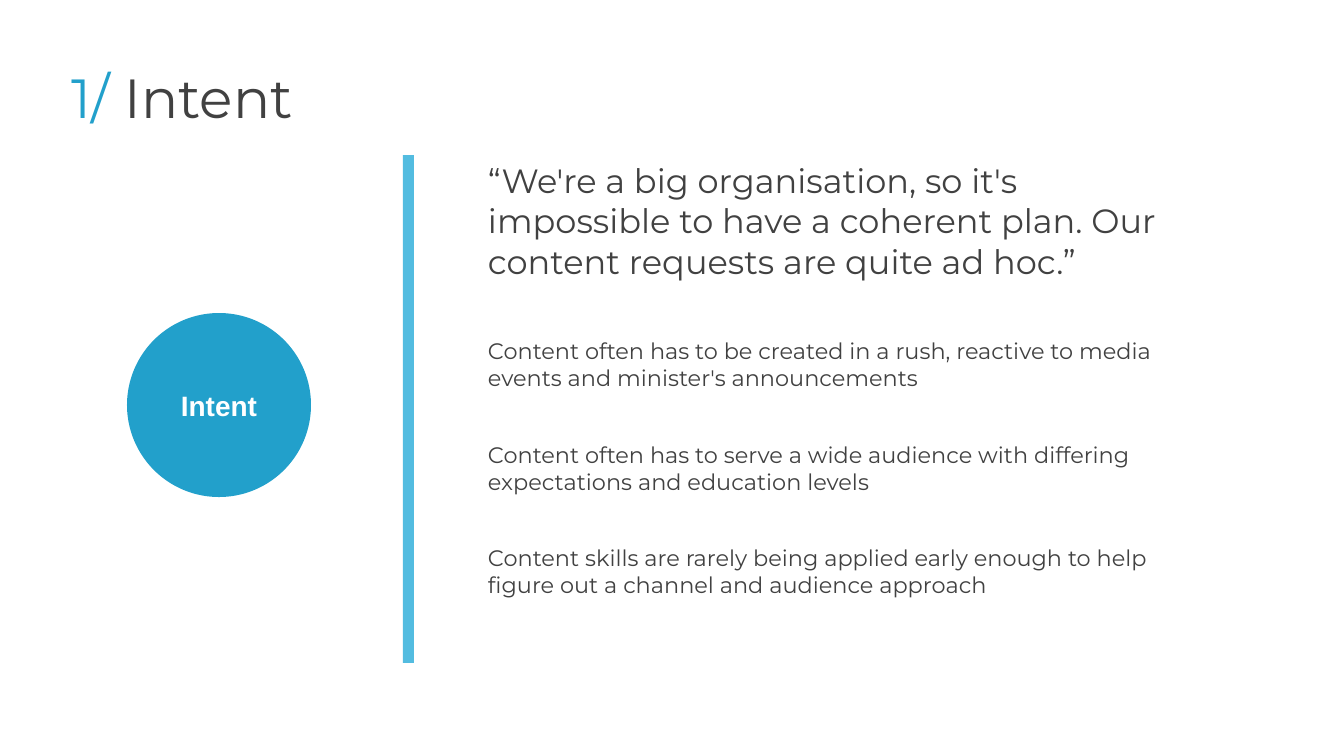
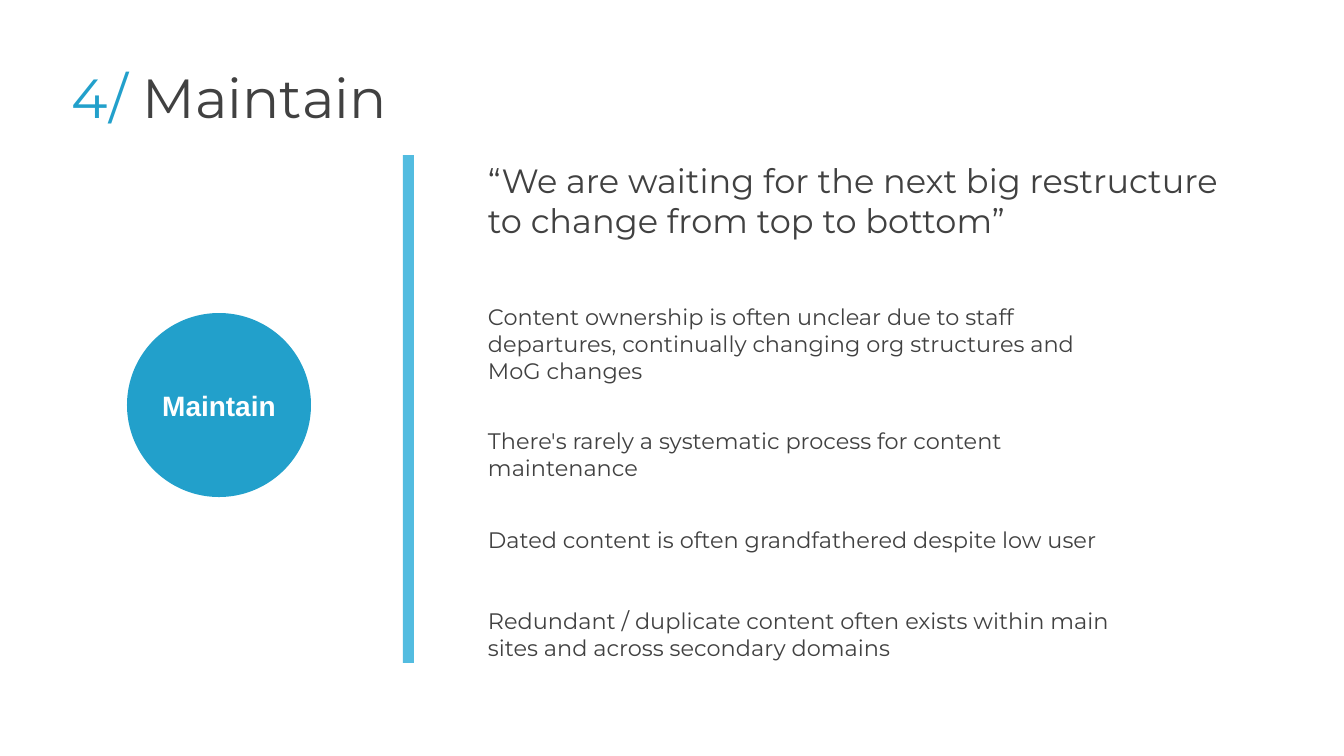
import pptx
import pptx.util
import pptx.dml.color
import pptx.enum.shapes
import pptx.enum.text

# Content: quote width, then points as (top, width, height, text)
PAGES = [
    {"num": "1/ ", "name": "Intent", "wide": 679,
     "quote": "“We're a big organisation, so it's impossible to have a "
              "coherent plan. Our content requests are quite ad hoc.”",
     "points": [
         (334, 679, 74, "Content often has to be created in a rush, reactive "
                        "to media events and minister's announcements"),
         (438, 679, 74, "Content often has to serve a wide audience with "
                        "differing expectations and education levels"),
         (541, 679, 74, "Content skills are rarely being applied early enough "
                        "to help figure out a channel and audience approach")]},
    {"num": "4/ ", "name": "Maintain", "wide": 759,
     "quote": "“We are waiting for the next big restructure to change "
              "from top to bottom”",
     "points": [
         (300, 629, 102, "Content ownership is often unclear due to staff "
                         "departures, continually changing org structures "
                         "and MoG changes"),
         (424, 596, 97, "There's rarely a systematic process for content "
                        "maintenance"),
         (523, 662, 42, "Dated content is often grandfathered despite low "
                        "user"),
         (604, 662, 42, "Redundant / duplicate content often exists within "
                        "main sites and across secondary domains")]},
]

# Shared look
HUES = {"blue": "22A0CB", "sky": "53BCE0", "ink": "414141", "white": "FFFFFF"}
LOOKS = {
    "title": {"name": "Montserrat", "size": 59, "bold": False},
    "quote": {"name": "Montserrat", "size": 36, "bold": False},
    "point": {"name": "Montserrat", "size": 24, "bold": False},
    "label": {"name": "Arial", "size": 30, "bold": True},
}
SCALE = 914400 / 67.2
BAR = (403, 155, 11, 508)
TITLE = (69, 60, 818, 75)
DISC = (127, 313, 184, 184)
TAG = 67            # height of the label centred on the disc
LEFT = 485          # left edge of the text column
QUOTE = (157, 148)  # top and height

SHAPE = pptx.enum.shapes.MSO_SHAPE
ANCHOR = pptx.enum.text.MSO_ANCHOR
ALIGN = pptx.enum.text.PP_ALIGN


def emu(box):
    return [round(n * SCALE) for n in box]


def rgb(hue):
    return pptx.dml.color.RGBColor.from_string(HUES[hue])


def shape(slide, kind, box, hue):
    item = slide.shapes.add_shape(kind, *emu(box))
    item.shadow.inherit = False
    item.fill.solid()
    item.fill.fore_color.rgb = rgb(hue)
    item.line.fill.background()


def text(slide, box, look, runs, pad=3, anchor=ANCHOR.TOP, align=ALIGN.LEFT):
    frame = slide.shapes.add_textbox(*emu(box)).text_frame
    form = {"word_wrap": True, "vertical_anchor": anchor}
    for side in ("left", "top", "right", "bottom"):
        form["margin_" + side] = round(pad * SCALE)
    for key, value in form.items():
        setattr(frame, key, value)
    para = frame.paragraphs[0]
    para.alignment = align
    for words, hue in runs:
        run = para.add_run()
        run.text = words
        for key, value in LOOKS[look].items():
            setattr(run.font, key,
                    pptx.util.Pt(value) if key == "size" else value)
        run.font.color.rgb = rgb(hue)


# Build the slides
deck = pptx.Presentation()
deck.slide_width, deck.slide_height = emu((1344, 756))

for page in PAGES:
    slide = deck.slides.add_slide(deck.slide_layouts[6])

    # Bar and title
    shape(slide, SHAPE.RECTANGLE, BAR, "sky")
    text(slide, TITLE, "title", [(page["num"], "blue"), (page["name"], "ink")])

    # Disc with its label
    shape(slide, SHAPE.OVAL, DISC, "blue")
    x, y, w, h = DISC
    text(slide, (x, y + (h - TAG) / 2, w, TAG), "label",
         [(page["name"], "white")], 7, ANCHOR.MIDDLE, ALIGN.CENTER)

    # Quote and points
    top, high = QUOTE
    text(slide, (LEFT, top, page["wide"], high), "quote",
         [(page["quote"], "ink")])
    for top, wide, high, words in page["points"]:
        text(slide, (LEFT, top, wide, high), "point", [(words, "ink")])

deck.save("out.pptx")
